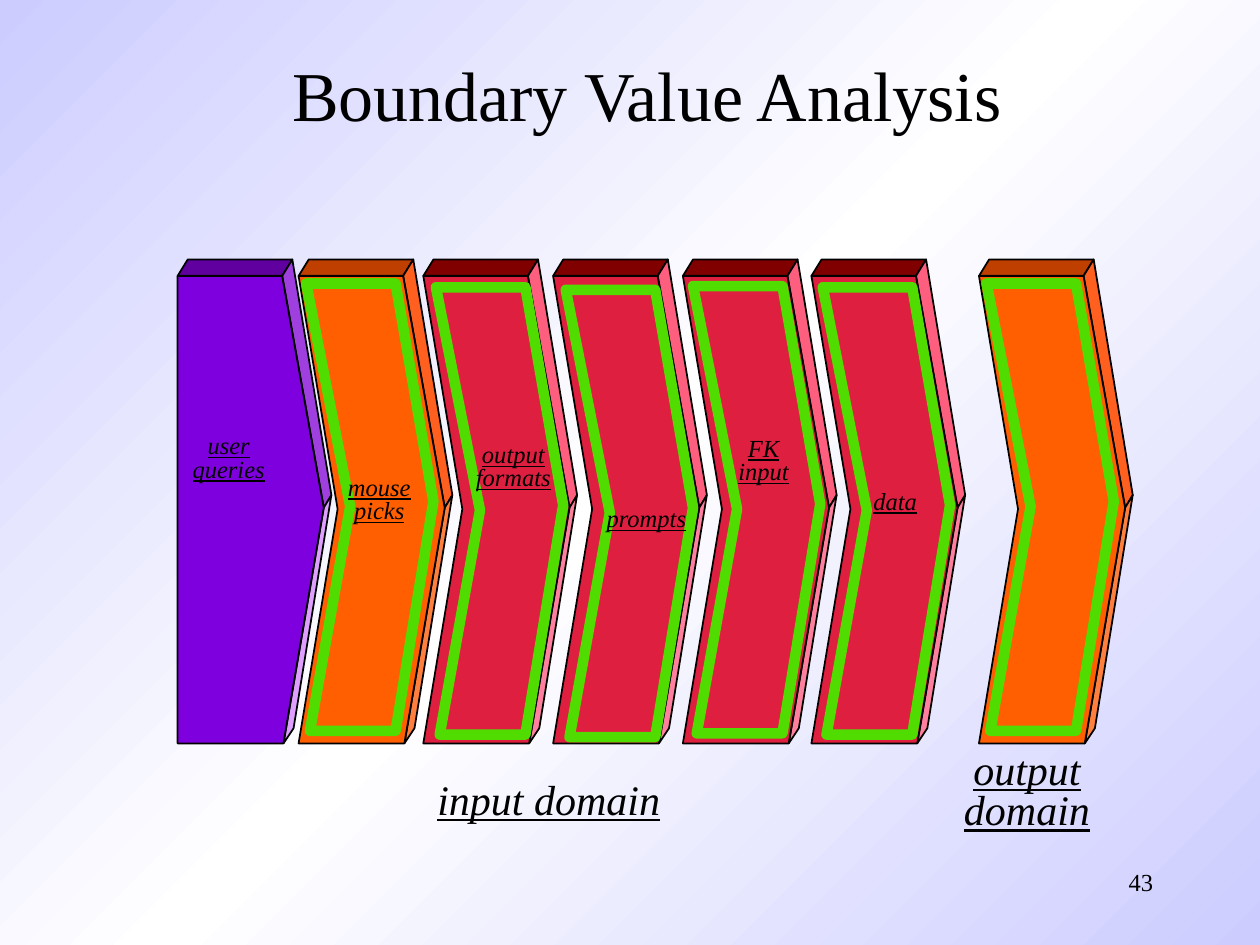
"""Build the boundary value analysis slide."""
from copy import deepcopy
from dataclasses import dataclass
from typing import NamedTuple

from lxml import etree
from pptx import Presentation
from pptx.dml.color import RGBColor
from pptx.enum.text import MSO_ANCHOR, MSO_AUTO_SIZE, PP_ALIGN
from pptx.oxml.ns import qn
from pptx.util import Emu, Pt

SCALE = 9144
CENTER, RIGHT = PP_ALIGN.CENTER, PP_ALIGN.RIGHT
MIDDLE = MSO_ANCHOR.MIDDLE
FIT, FIXED = MSO_AUTO_SIZE.SHAPE_TO_FIT_TEXT, MSO_AUTO_SIZE.NONE

Points = list[tuple[int, int]]


class Tones(NamedTuple):
    top: str
    upper: str
    lower: str
    front: str


@dataclass(frozen=True)
class Theme:
    font: str = "Times New Roman"
    ink: str = "000000"
    edge: str = "CCCCFF"
    glow: str = "FFFFFF"
    band: str = "51DC00"
    purple: Tones = Tones("5F009F", "9F3FDF", "DF9FFF", "7F00DF")
    orange: Tones = Tones("BF3F00", "FF5F1F", "FF7F3F", "FF5F00")
    red: Tones = Tones("800000", "FF5F7F", "FF7F9F", "DF1F3F")
    title: int = 40
    domain: int = 24
    small: int = 14


THEME = Theme()


class Box(NamedTuple):
    left: int
    top: int
    width: int
    height: int


class Wall(NamedTuple):
    left: int
    tones: Tones
    notch: bool = True


class Band(NamedTuple):
    left: int
    top: int


class Label(NamedTuple):
    text: str
    box: Box
    size: int = THEME.small
    space: float = 0.8


TOP: Points = [(83, 219), (0, 219), (8, 206), (91, 206)]
UPPER: Points = [(91, 206), (83, 219), (116, 403), (122, 393)]
LOWER: Points = [(122, 393), (116, 403), (84, 590), (92, 578)]
FRONT: Points = [(83, 219), (0, 219), (31, 404), (0, 590), (84, 590), (116, 403)]
NOTCH = FRONT[2]
FRAME: Points = [(0, 0), (71, 0), (101, 173), (71, 355), (3, 355), (35, 177)]

WALLS = [
    Wall(141, THEME.purple, False), Wall(336, THEME.red),
    Wall(237, THEME.orange), Wall(439, THEME.red),
    Wall(542, THEME.red), Wall(644, THEME.red), Wall(777, THEME.orange),
]
BANDS = [
    Band(243, 225), Band(346, 228), Band(449, 230),
    Band(550, 227), Band(653, 228), Band(783, 225),
]
LABELS = [
    Label("user\nqueries", Box(141, 341, 81, 47)),
    Label("mouse\npicks", Box(265, 374, 72, 47)),
    Label("output\nformats", Box(366, 348, 83, 47)),
    Label("prompts", Box(470, 399, 86, 28)),
    Label("FK\ninput", Box(575, 343, 62, 47)),
    Label("data", Box(682, 385, 57, 28)),
    Label("output\ndomain", Box(754, 593, 122, 74), THEME.domain),
    Label("input domain", Box(336, 609, 199, 50), THEME.domain, 1.0),
]


def color(code: str) -> RGBColor:
    return RGBColor.from_string(code)


def place(box: Box) -> list[Emu]:
    return [Emu(part * SCALE) for part in box]


def style(frame, size: int, align, slant: bool = False, space: float = 1.0) -> None:
    for line in frame.paragraphs:
        line.alignment, line.line_spacing = align, space
        for run in line.runs:
            font = run.font
            font.name, font.size = THEME.font, Pt(size)
            font.color.rgb = color(THEME.ink)
            if slant:
                font.italic = font.underline = True


def draw_shape(shapes, points: Points, left: int, top: int, line: str, width: int):
    spots = [(left + x, top + y) for x, y in points]
    pen = shapes.build_freeform(*spots[0], scale=SCALE)
    pen.add_line_segments(spots[1:], close=True)
    shape = pen.convert_to_shape()
    shape.shadow.inherit = False
    shape.line.color.rgb = color(line)
    shape.line.width = Pt(width)
    return shape


def draw_wall(slide, wall: Wall) -> None:
    group = slide.shapes.add_group_shape()
    front = [spot for spot in FRONT if wall.notch or spot != NOTCH]
    for points, tone in zip((TOP, UPPER, LOWER, front), wall.tones):
        face = draw_shape(group.shapes, points, wall.left, 0, THEME.ink, 1)
        face.fill.solid()
        face.fill.fore_color.rgb = color(tone)


def draw_band(slide, band: Band) -> None:
    shape = draw_shape(slide.shapes, FRAME, band.left, band.top, THEME.band, 6)
    shape.fill.background()
    etree.SubElement(shape.element.spPr.find(qn("a:ln")), qn("a:round"))


def draw_label(slide, label: Label) -> None:
    frame = slide.shapes.add_textbox(*place(label.box)).text_frame
    frame.text = label.text
    frame.word_wrap, frame.auto_size = False, FIT
    style(frame, label.size, CENTER, True, label.space)


def draw_number(slide, text: str, box: Box) -> None:
    frame = slide.shapes.add_textbox(*place(box)).text_frame
    frame.text, frame.word_wrap = text, True
    style(frame, THEME.small, RIGHT)


def set_title(slide, text: str, box: Box) -> None:
    title = slide.shapes.title
    title.left, title.top, title.width, title.height = place(box)
    frame = title.text_frame
    frame.text, frame.word_wrap = text, True
    frame.auto_size, frame.vertical_anchor = FIXED, MIDDLE
    style(frame, THEME.title, CENTER)


def set_back(slide) -> None:
    fill = slide.background.fill
    fill.gradient()
    fill.gradient_angle = 315
    first = slide.element.find(".//" + qn("a:gsLst"))[0]
    first.addnext(deepcopy(first))
    tones = (THEME.edge, THEME.glow, THEME.edge)
    for stop, tone, spot in zip(fill.gradient_stops, tones, (0, 0.5, 1)):
        stop.color.rgb, stop.position = color(tone), spot


def main() -> None:
    deck = Presentation()
    deck.slide_width, deck.slide_height = Emu(1000 * SCALE), Emu(750 * SCALE)
    slide = deck.slides.add_slide(deck.slide_layouts[5])
    set_back(slide)
    set_title(slide, "Boundary Value Analysis", Box(163, 58, 701, 33))
    draw_number(slide, "43", Box(717, 683, 208, 50))
    for wall in WALLS:
        draw_wall(slide, wall)
    for band in BANDS:
        draw_band(slide, band)
    for label in LABELS:
        draw_label(slide, label)
    deck.save("out.pptx")


if __name__ == "__main__":
    main()
